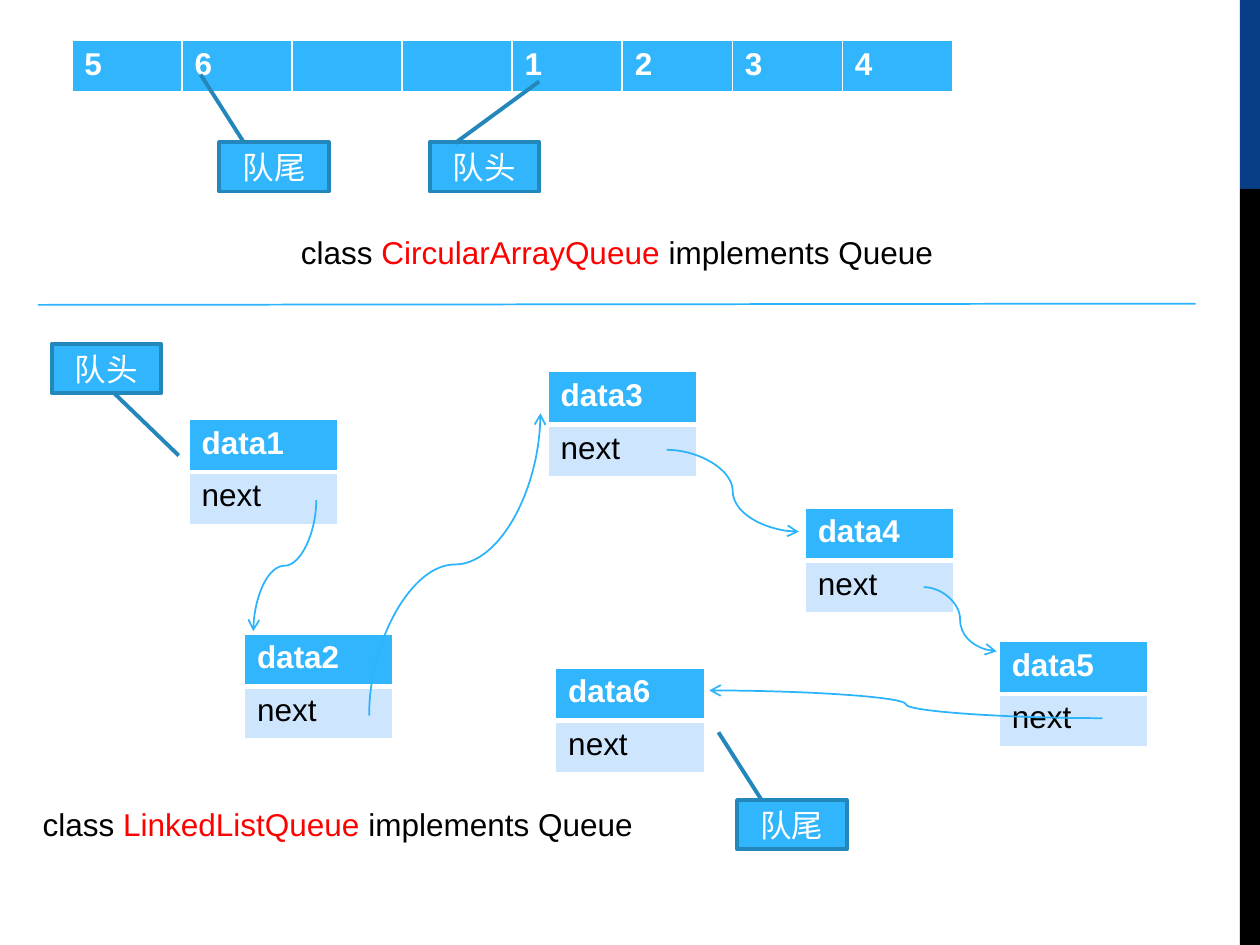
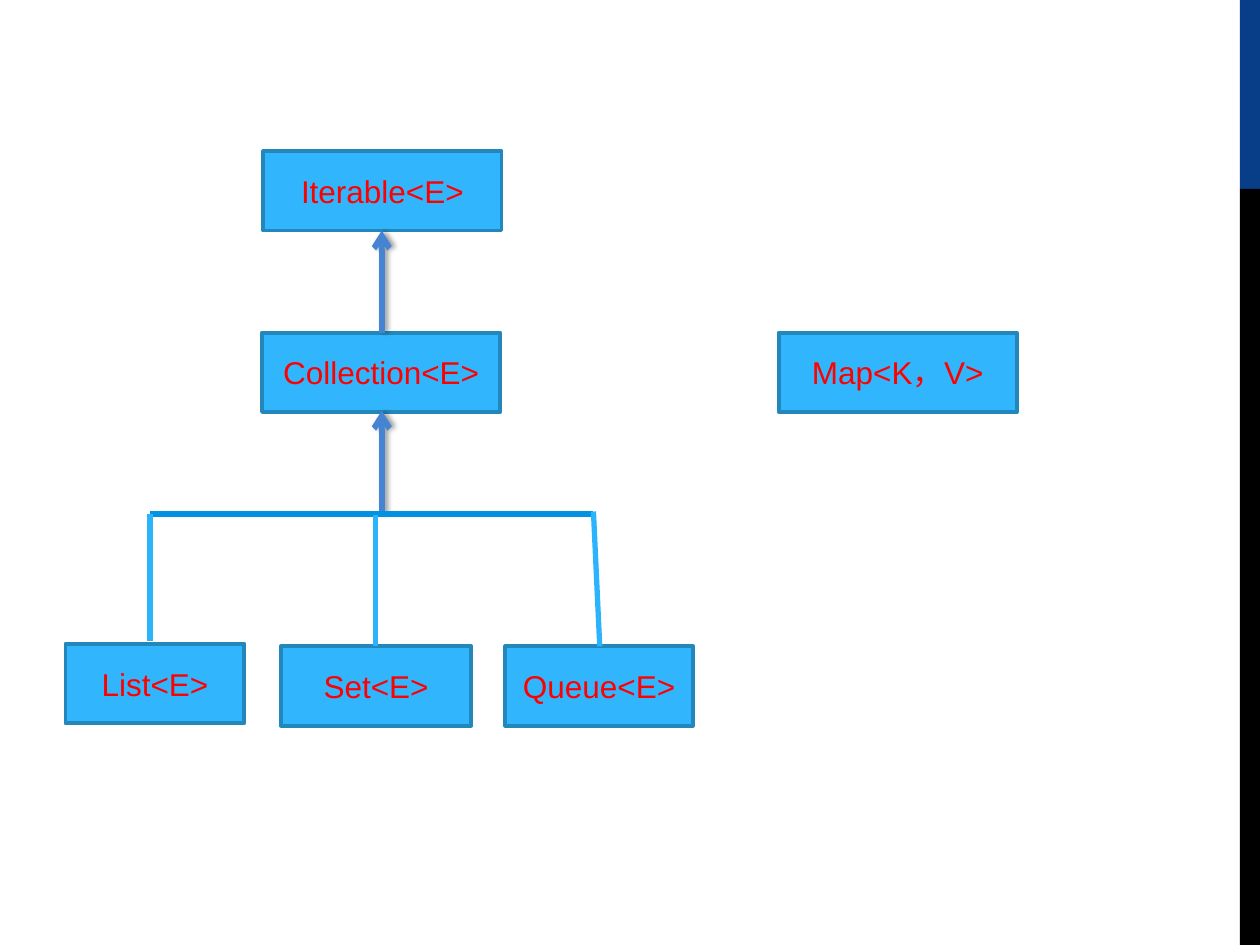
import pptx
import pptx.util
import pptx.dml.color
import pptx.enum.shapes
import pptx.enum.text
import pptx.oxml
import pptx.oxml.ns

COLS, ROWS = 100, 75  # slide grid
WIDE, HIGH = pptx.util.Inches(10), pptx.util.Inches(7.5)
FONT, SIZE = "Arial", 18
HUE = {
    "sky": "31B6FD", "pale": "CEE5FE", "edge": "2487BB", "line": "2BB4FC",
    "arrow": "4584D3", "bar": "0293E0", "navy": "073E87",
    "black": "000000", "white": "FFFFFF", "red": "FF0000",
}
SHAPE = pptx.enum.shapes.MSO_SHAPE
LINK = pptx.enum.shapes.MSO_CONNECTOR
SHADOW = ('<a:outerShdw blurRad="39370" dist="22860" dir="0">'
          '<a:srgbClr val="000000"><a:alpha val="40000"/></a:srgbClr></a:outerShdw>')


def col(n):
    return round(WIDE * n / COLS)


def row(n):
    return round(HIGH * n / ROWS)


def area(x, y, w, h):
    return col(x), row(y), col(w), row(h)


def rgb(hue):
    return pptx.dml.color.RGBColor.from_string(HUE[hue])


def paint(thing, hue):
    thing.fill.solid()
    thing.fill.fore_color.rgb = rgb(hue)


def style(font, hue, bold=False):
    font.name, font.size, font.bold = FONT, pptx.util.Pt(SIZE), bold
    font.color.rgb = rgb(hue)


def xml(tag, inner="", attrs=""):
    space = pptx.oxml.ns.nsdecls("a")
    return pptx.oxml.parse_xml(f"<a:{tag} {space} {attrs}>{inner}</a:{tag}>")


# Boxes and text
def block(slide, kind, place, hue):
    shape = slide.shapes.add_shape(kind, *area(*place))
    shape.shadow.inherit = False
    paint(shape, hue)
    shape.line.fill.background()
    return shape


def box(slide, text, place, hue, kind=SHAPE.RECTANGLE):
    shape = block(slide, kind, place, "sky")
    shape.line.color.rgb = rgb("edge")
    shape.line.width = pptx.util.Pt(2.25)
    frame = shape.text_frame
    frame.word_wrap = True
    frame.vertical_anchor = pptx.enum.text.MSO_ANCHOR.MIDDLE
    para = frame.paragraphs[0]
    para.text = text
    para.alignment = pptx.enum.text.PP_ALIGN.CENTER
    style(para.font, hue)
    return shape


def callout(slide, text, x, y, tip):
    shape = box(slide, text, (x, y, 8.7, 3.9), "white", SHAPE.LINE_CALLOUT_1)
    for i, value in enumerate(tip):
        shape.adjustments[i] = value


def caption(slide, name, x, y):
    frame = slide.shapes.add_textbox(*area(x, y, 52.8, 4)).text_frame
    frame.word_wrap = True
    para = frame.paragraphs[0]
    for text, hue in (("class ", "black"), (name + " ", "red"),
                      ("implements Queue", "black")):
        run = para.add_run()
        run.text = text
        style(run.font, hue)


# Tables
def fill_cell(cell, text, head):
    props = cell._tc.get_or_add_tcPr()
    for side in "LRTB":
        width = pptx.util.Pt(3 if head and side == "B" else 1)
        props.append(xml("ln" + side, f'<a:solidFill><a:srgbClr val="{HUE["white"]}"/>'
                         "</a:solidFill>", f'w="{width}"'))
    paint(cell, "sky" if head else "pale")
    para = cell.text_frame.paragraphs[0]
    para.text = text
    style(para.font, "white" if head else "black", head)


def grid(slide, lines, x, y, w):
    place = area(x, y, w, 4.17 * len(lines))
    table = slide.shapes.add_table(len(lines), len(lines[0]), *place).table
    for r, line in enumerate(lines):
        for c, text in enumerate(line):
            fill_cell(table.cell(r, c), text, r == 0)


def node(slide, name, x, y):
    grid(slide, [[name], ["next"]], x, y, 11.8)


# Lines and arrows
def link(slide, start, end, hue="line", width=1.0, kind=LINK.STRAIGHT,
         tip=False, shade=False):
    (x1, y1), (x2, y2) = start, end
    wire = slide.shapes.add_connector(kind, col(x1), row(y1), col(x2), row(y2))
    wire.line.color.rgb = rgb(hue)
    wire.line.width = pptx.util.Pt(width)
    if tip:
        wire.line._get_or_add_ln().append(xml("tailEnd", attrs='type="arrow"'))
    wire._element.spPr.append(xml("effectLst", SHADOW if shade else ""))
    return wire


def curve(slide, start, end):
    link(slide, start, end, kind=LINK.CURVE, tip=True)


def swing(slide, start, end):
    """Curve that leaves and arrives vertically: a quarter-turned connector."""
    (x1, y1), (x2, y2) = start, end
    mid_x, mid_y = (x1 + x2) / 2, (y1 + y2) / 2
    dx, dy = abs(y2 - y1) / 2, abs(x2 - x1) / 2
    wire = link(slide, (mid_x - dx, mid_y - dy), (mid_x + dx, mid_y + dy),
                kind=LINK.CURVE, tip=True)
    turn = 90 if y2 > y1 else 270
    wire._element.spPr.find(pptx.oxml.ns.qn("a:xfrm")).set("rot", str(turn * 60000))


# Slides
def new_slide(deck):
    slide = deck.slides.add_slide(deck.slide_layouts[6])
    block(slide, SHAPE.RECTANGLE, (98.4, 0, 1.6, 15), "navy")
    block(slide, SHAPE.RECTANGLE, (98.4, 15, 1.6, 60), "black")
    return slide


def queues(deck):
    slide = new_slide(deck)
    tail = (0.02, 0.23, -1.38, -0.17)

    # Circular array
    grid(slide, [["5", "6", "", "", "1", "2", "3", "4"]], 5.7, 3.2, 69.9)
    callout(slide, "队尾", 17.4, 11.3, tail)

    # Linked list
    callout(slide, "队头", 4.1, 27.3, (1, 0.57, 2.27, 1.16))
    for name, x, y in (("data1", 15, 33.3), ("data2", 19.4, 50.3),
                       ("data3", 43.5, 29.5), ("data6", 44.1, 53),
                       ("data4", 63.9, 40.3), ("data5", 79.3, 50.9)):
        node(slide, name, x, y)
    swing(slide, (25.1, 39.7), (20.1, 50.1))
    swing(slide, (29.3, 56.8), (42.9, 32.8))
    curve(slide, (52.9, 35.7), (63.4, 42.2))
    curve(slide, (73.3, 46.6), (79.1, 51.7))
    curve(slide, (87.5, 57), (56.3, 54.8))
    callout(slide, "队尾", 58.5, 63.5, tail)
    callout(slide, "队头", 34.1, 11.3, (0.02, 0.23, -1.24, 1))

    # Divider and captions
    link(slide, (3, 24.2), (94.9, 24.1))
    caption(slide, "CircularArrayQueue", 22.9, 18)
    caption(slide, "LinkedListQueue", 2.4, 63.4)


def types(deck):
    slide = new_slide(deck)

    # Interfaces
    for name, x, y, w in (("Iterable<E>", 20.9, 12, 18.9),
                          ("Collection<E>", 20.8, 26.4, 18.9),
                          ("List<E>", 5.2, 51.1, 14.2),
                          ("Set<E>", 22.3, 51.3, 15.1),
                          ("Queue<E>", 40.1, 51.3, 14.9),
                          ("Map<K，V>", 61.8, 26.4, 18.9)):
        box(slide, name, (x, y, w, 6.3), "red")

    # Inheritance tree
    for low, top in ((26.4, 18.3), (40.8, 32.6)):
        link(slide, (30.3, low), (30.3, top), "arrow", 3.25, tip=True, shade=True)
    link(slide, (11.9, 40.8), (47.1, 40.8), "bar", 3)
    for start, end in (((11.9, 40.8), (11.9, 50.9)),
                       ((29.8, 40.9), (29.8, 51.3)),
                       ((47.1, 40.6), (47.6, 51.3))):
        link(slide, start, end, width=3)


def main():
    deck = pptx.Presentation()
    deck.slide_width, deck.slide_height = WIDE, HIGH
    queues(deck)
    types(deck)
    deck.save("out.pptx")


if __name__ == "__main__":
    main()
